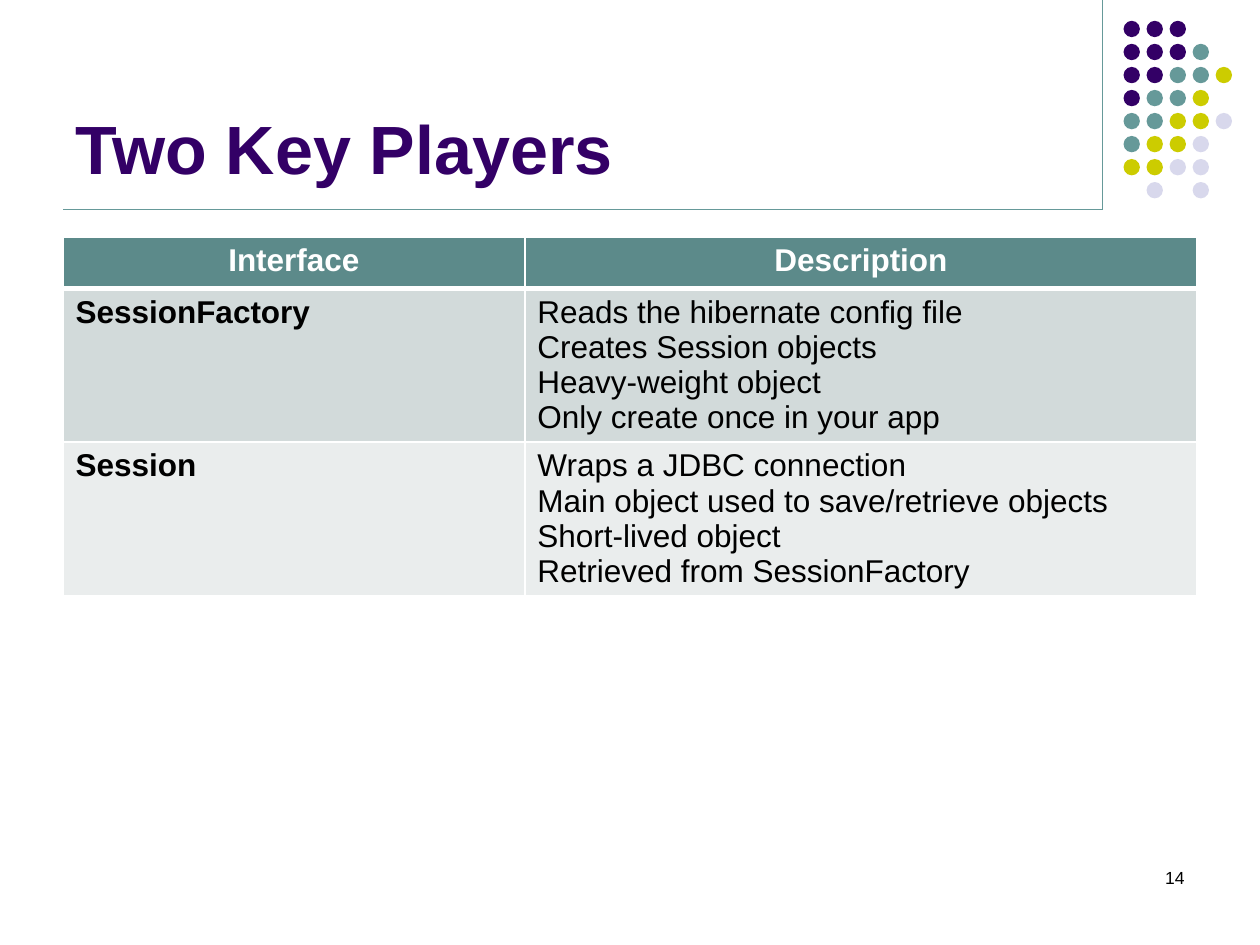
from lxml import etree
from pptx import Presentation
from pptx.dml.color import RGBColor
from pptx.enum.shapes import MSO_CONNECTOR, MSO_SHAPE
from pptx.enum.text import MSO_ANCHOR, MSO_AUTO_SIZE, PP_ALIGN
from pptx.oxml.ns import qn
from pptx.util import Cm, Pt

STRAIGHT = MSO_CONNECTOR.STRAIGHT
OVAL = MSO_SHAPE.OVAL
BOTTOM = MSO_ANCHOR.BOTTOM
NO_AUTOFIT = MSO_AUTO_SIZE.NONE
LEFT, CENTER, RIGHT = PP_ALIGN.LEFT, PP_ALIGN.CENTER, PP_ALIGN.RIGHT

FONT = "Arial"
TITLE_ONLY = 5
COLORS = {
    "purple": "330066",
    "teal": "669999",
    "olive": "CCCC00",
    "lavender": "D8D8EC",
    "header": "5C8A8A",
    "band_dark": "D2DADA",
    "band_light": "EAEDED",
    "white": "FFFFFF",
    "black": "000000",
}

# One letter per dot: purple, teal, olive, lavender
DOT_ROWS = ["PPP", "PPPT", "PPTTO", "PTTO", "TTOOL", "TOOL", "OOLL", " L L"]
DOT_COLORS = {"P": "purple", "T": "teal", "O": "olive", "L": "lavender"}
DOT_SIZE = 0.33
DOT_PITCH = 3.25 / 7

HEADINGS = ["Interface", "Description"]
INTERFACES = [
    ("SessionFactory", [
        "Reads the hibernate config file",
        "Creates Session objects",
        "Heavy-weight object",
        "Only create once in your app",
    ]),
    ("Session", [
        "Wraps a JDBC connection",
        "Main object used to save/retrieve objects",
        "Short-lived object",
        "Retrieved from SessionFactory",
    ]),
]


def rgb(name):
    return RGBColor.from_string(COLORS[name])


def format_text(text_frame, size, color, bold=False, align=LEFT):
    for paragraph in text_frame.paragraphs:
        paragraph.alignment = align
        for run in paragraph.runs:
            run.font.name = FONT
            run.font.size = Pt(size)
            run.font.bold = bold
            run.font.color.rgb = rgb(color)


def add_rule(slide, x1, y1, x2, y2):
    rule = slide.shapes.add_connector(STRAIGHT, Cm(x1), Cm(y1), Cm(x2), Cm(y2))
    rule.line.color.rgb = rgb("teal")
    rule.line.width = Pt(0.75)
    etree.SubElement(rule._element.spPr, qn("a:effectLst"))


def add_dots(slide, left, top):
    dots = slide.shapes.add_group_shape()
    for row, letters in enumerate(DOT_ROWS):
        for column, letter in enumerate(letters):
            if letter == " ":
                continue
            dot = dots.shapes.add_shape(
                OVAL, Cm(left + column * DOT_PITCH), Cm(top + row * DOT_PITCH),
                Cm(DOT_SIZE), Cm(DOT_SIZE))
            dot.shadow.inherit = False
            dot.fill.solid()
            dot.fill.fore_color.rgb = rgb(DOT_COLORS[letter])
            dot.line.fill.background()


def set_title(slide, text):
    title = slide.shapes.title
    title.left, title.top = Cm(1.27), Cm(0.33)
    title.width, title.height = Cm(20.95), Cm(3.6)
    frame = title.text_frame
    frame.text = text
    frame.auto_size = NO_AUTOFIT
    frame.vertical_anchor = BOTTOM
    format_text(frame, 39, "purple", bold=True)


def set_borders(cell, top, bottom):
    properties = cell._tc.get_or_add_tcPr()
    widths = {"a:lnL": 1, "a:lnR": 1, "a:lnT": top, "a:lnB": bottom}
    for tag, width in widths.items():
        border = etree.SubElement(properties, qn(tag), w=str(Pt(width)))
        fill = etree.SubElement(border, qn("a:solidFill"))
        etree.SubElement(fill, qn("a:srgbClr"), val=COLORS["white"])


def fill_cell(cell, lines, fill, color, bold, align=LEFT, top=1, bottom=1):
    set_borders(cell, top, bottom)
    cell.fill.solid()
    cell.fill.fore_color.rgb = rgb(fill)
    cell.text_frame.text = "\n".join(lines)
    format_text(cell.text_frame, 18, color, bold, align)


def add_interface_table(slide):
    heights = [1.03, 3.1, 3.1]
    table = slide.shapes.add_table(
        len(INTERFACES) + 1, len(HEADINGS),
        Cm(1.27), Cm(4.78), Cm(22.86), Cm(sum(heights))).table
    for column, width in zip(table.columns, [9.31, 13.55]):
        column.width = Cm(width)
    for row, height in zip(table.rows, heights):
        row.height = Cm(height)

    # Heading row, set off by a thick line
    for column, heading in enumerate(HEADINGS):
        fill_cell(table.cell(0, column), [heading], "header", "white", True,
                  CENTER, bottom=3)

    # One banded row per interface
    for row, (name, description) in enumerate(INTERFACES, start=1):
        band = "band_dark" if row % 2 else "band_light"
        top = 3 if row == 1 else 1
        fill_cell(table.cell(row, 0), [name], band, "black", True, top=top)
        fill_cell(table.cell(row, 1), description, band, "black", False, top=top)


def add_page_number(slide, number):
    page = slide.shapes.add_textbox(Cm(18.2), Cm(17.35), Cm(5.93), Cm(1.27))
    page.text_frame.word_wrap = True
    page.text_frame.text = number
    format_text(page.text_frame, 10, "black", align=RIGHT)


def main():
    presentation = Presentation()
    presentation.slide_width, presentation.slide_height = Cm(25.4), Cm(19.05)
    slide = presentation.slides.add_slide(presentation.slide_layouts[TITLE_ONLY])

    # Frame lines and dot ornament
    add_rule(slide, 22.22, 0, 22.22, 4.23)
    add_dots(slide, 22.65, 0.42)
    add_rule(slide, 1.27, 4.23, 22.22, 4.23)

    # Content
    set_title(slide, "Two Key Players")
    add_interface_table(slide)
    add_page_number(slide, "14")

    presentation.save("out.pptx")


if __name__ == "__main__":
    main()
